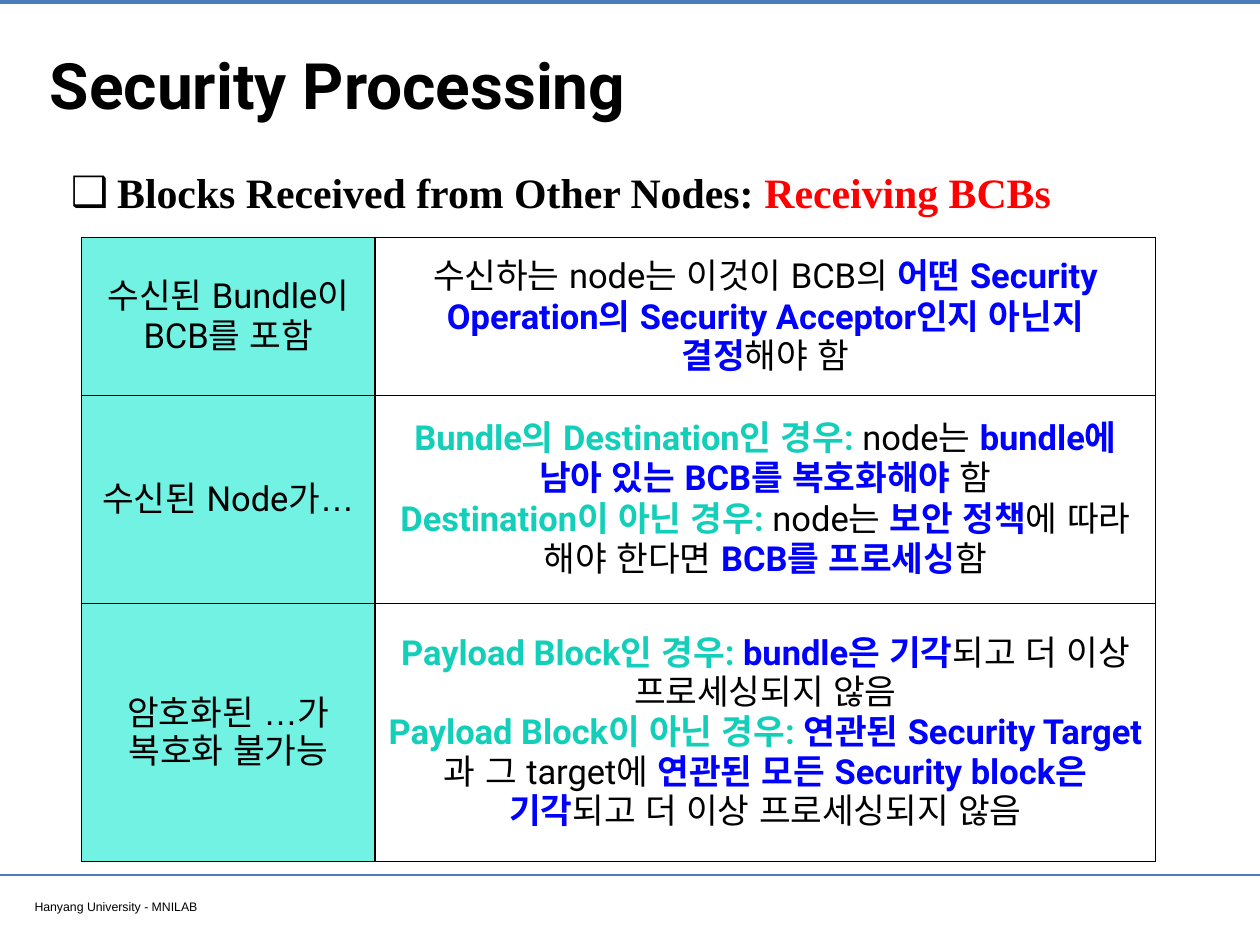
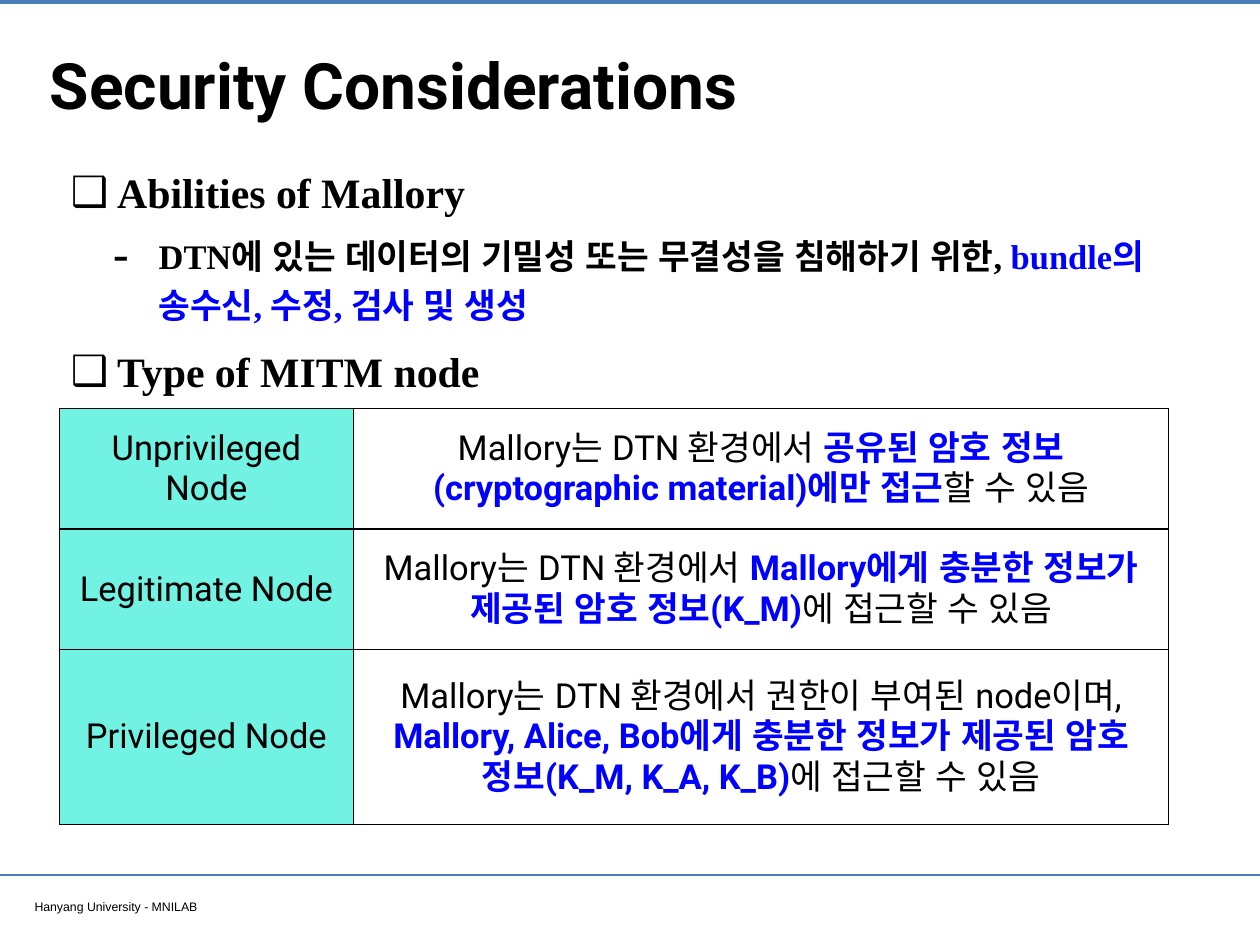
from dataclasses import dataclass

from lxml import etree
from pptx import Presentation
from pptx.dml.color import RGBColor
from pptx.enum.shapes import MSO_CONNECTOR
from pptx.enum.text import MSO_ANCHOR, PP_ALIGN
from pptx.oxml.ns import qn
from pptx.util import Cm, Pt

LEFT, MID = PP_ALIGN.LEFT, PP_ALIGN.CENTER
TOP, CENTER = MSO_ANCHOR.TOP, MSO_ANCHOR.MIDDLE
STRAIGHT = MSO_CONNECTOR.STRAIGHT


@dataclass(frozen=True)
class Theme:
    black: str = "000000"
    white: str = "FFFFFF"
    red: str = "FF0000"
    blue: str = "0000FF"
    teal: str = "13CFB9"
    mint: str = "72F2E3"
    rule: str = "4A7EBB"
    head: str = "Roboto"
    body: str = "Times New Roman"
    foot: str = "Arial"
    asian: str = "Arial"
    title: int = 52
    point: int = 34
    text: int = 28
    small: int = 10


T = Theme()
WIDTH, HEIGHT = 36.12, 27.1
RULES = [(0.05, 3.2), (25.1, 2)]
FOOTER = "Hanyang University - MNILAB"

# Per level: bullet, its size in percent, left margin, hanging indent, text size
LEVELS = [("❑", 100, 1.33, 1.33, T.point), ("-", 145, 2.52, 1.32, T.text)]


def blue(text):
    return text, T.blue


def teal(text):
    return text, T.teal


# A paragraph is a list of runs: plain strings are black, pairs carry a colour.
SLIDES = [
    {
        "title": "Security Processing",
        "deep": 2.26,
        "points": [
            (0, ["Blocks Received from Other Nodes: ", ("Receiving BCBs", T.red)]),
        ],
        "at": (2.34, 6.81),
        "cols": (8.41, 22.38),
        "rows": (4.53, 5.96, 7.4),
        "cells": [
            ([["수신된 Bundle이"], ["BCB를 포함"]],
             [["수신하는 node는 이것이 BCB의 ",
               blue("어떤 Security Operation의 Security Acceptor인지 아닌지 결정"),
               "해야 함"]]),
            ([["수신된 Node가…"]],
             [[teal("Bundle의 Destination인 경우: "), "node는 ",
               blue("bundle에 남아 있는 BCB를 복호화해야 "), "함"],
              [teal("Destination이 아닌 경우: "), "node는 ", blue("보안 정책"),
               "에 따라 해야 한다면 ", blue("BCB를 프로세싱"), "함"]]),
            ([["암호화된 …가 복호화 불가능"]],
             [[teal("Payload Block인 경우: "), blue("bundle은 기각"),
               "되고 더 이상 프로세싱되지 않음"],
              [teal("Payload Block이 아닌 경우: "), blue("연관된 Security Target"),
               "과 그 target에 ", blue("연관된 모든 Security block은 기각"),
               "되고 더 이상 프로세싱되지 않음"]]),
        ],
    },
    {
        "title": "Security Considerations",
        "deep": 19.1,
        "points": [
            (0, ["Abilities of Mallory"]),
            (1, ["DTN에 있는 데이터의 기밀성 또는 무결성을 침해하기 위한, ",
                 blue("bundle의 송수신, 수정, 검사 및 생성")]),
            (0, ["Type of MITM node"]),
        ],
        "at": (1.7, 11.71),
        "cols": (8.43, 23.37),
        "rows": (3.46, 3.46, 5.01),
        "cells": [
            ([["Unprivileged Node"]],
             [["Mallory는 DTN 환경에서 ",
               blue("공유된 암호 정보(cryptographic material)에만 접근"),
               "할 수 있음"]]),
            ([["Legitimate Node"]],
             [["Mallory는 DTN 환경에서 ",
               blue("Mallory에게 충분한 정보가 제공된 암호 정보(K_M)"),
               "에 접근할 수 있음"]]),
            ([["Privileged Node"]],
             [["Mallory는 DTN 환경에서 권한이 부여된 node이며, ",
               blue("Mallory, Alice, Bob에게 충분한 정보가 제공된 암호 정보"
                    "(K_M, K_A, K_B)"),
               "에 접근할 수 있음"]]),
        ],
    },
]


def rgb(code):
    return RGBColor.from_string(code)


def write(para, runs, size, font, bold=False, align=LEFT):
    """Add runs to a paragraph; bold=None makes only coloured runs bold."""
    para.alignment = align
    for item in runs:
        text, hue = (item, T.black) if isinstance(item, str) else item
        run = para.add_run()
        run.text = text
        run.font.size, run.font.name = Pt(size), font
        run.font.bold = hue != T.black if bold is None else bold
        run.font.color.rgb = rgb(hue)
        etree.SubElement(run._r.get_or_add_rPr(), qn("a:ea"), typeface=T.asian)


def paras(frame, count):
    """Yield the given number of paragraphs, the existing one first."""
    yield frame.paragraphs[0]
    for _ in range(count - 1):
        yield frame.add_paragraph()


def box(slide, x, y, w, h, anchor=TOP):
    frame = slide.shapes.add_textbox(Cm(x), Cm(y), Cm(w), Cm(h)).text_frame
    frame.word_wrap = True
    frame.vertical_anchor = anchor
    frame.margin_left = frame.margin_right = Cm(0.15)
    frame.margin_top = frame.margin_bottom = Cm(0.15)
    return frame


def bullet(para, mark, scale, left, hang):
    props = para._p.get_or_add_pPr()
    props.set("marL", str(Cm(left)))
    props.set("indent", str(-Cm(hang)))
    for tag, key, value in (("a:buSzPct", "val", str(scale * 1000)),
                            ("a:buFont", "typeface", T.foot),
                            ("a:buChar", "char", mark)):
        etree.SubElement(props, qn(tag)).set(key, value)


def border(cell):
    props = cell._tc.get_or_add_tcPr()
    for spot, side in enumerate(("a:lnL", "a:lnR", "a:lnT", "a:lnB")):
        line = etree.Element(qn(side), w=str(Pt(1)))
        fill = etree.SubElement(line, qn("a:solidFill"))
        etree.SubElement(fill, qn("a:srgbClr"), val=T.black)
        props.insert(spot, line)


def frame_page(slide, title):
    """Draw the rules, footer and title that every slide has."""
    for y, width in RULES:
        line = slide.shapes.add_connector(STRAIGHT, 0, Cm(y), Cm(WIDTH), Cm(y))
        line.line.color.rgb = rgb(T.rule)
        line.line.width = Pt(width)
        etree.SubElement(line._element.spPr, qn("a:effectLst"))
    foot = box(slide, 0.84, 25.63, 13.87, 0.66)
    write(foot.paragraphs[0], [FOOTER], T.small, T.foot)
    head = box(slide, 1.28, 0.69, 33.55, 3.43, CENTER)
    write(head.paragraphs[0], [title], T.title, T.head, bold=True)


def list_points(slide, points, deep):
    frame = box(slide, 1.88, 4.34, 31.62, deep)
    for spot, para in enumerate(paras(frame, len(points))):
        level, runs = points[spot]
        *marks, size = LEVELS[level]
        para.level = level
        para.line_spacing = 1.2
        para.space_before = Pt(8 if spot else 0)
        bullet(para, *marks)
        write(para, runs, size, T.body, bold=True)


def draw_table(slide, at, cols, rows, cells):
    x, y = at
    table = slide.shapes.add_table(len(rows), len(cols), Cm(x), Cm(y),
                                   Cm(sum(cols)), Cm(sum(rows))).table
    table.first_row = table.horz_banding = False
    for col, width in zip(table.columns, cols):
        col.width = Cm(width)
    for row, height, texts in zip(table.rows, rows, cells):
        row.height = Cm(height)
        for cell, lines, hue in zip(row.cells, texts, (T.mint, T.white)):
            cell.fill.solid()
            cell.fill.fore_color.rgb = rgb(hue)
            cell.vertical_anchor = CENTER
            border(cell)
            for para, runs in zip(paras(cell.text_frame, len(lines)), lines):
                write(para, runs, T.text, T.head, bold=None, align=MID)


def main():
    deck = Presentation()
    deck.slide_width, deck.slide_height = Cm(WIDTH), Cm(HEIGHT)
    for data in SLIDES:
        slide = deck.slides.add_slide(deck.slide_layouts[6])
        frame_page(slide, data["title"])
        list_points(slide, data["points"], data["deep"])
        draw_table(slide, data["at"], data["cols"], data["rows"], data["cells"])
    deck.save("out.pptx")


if __name__ == "__main__":
    main()
